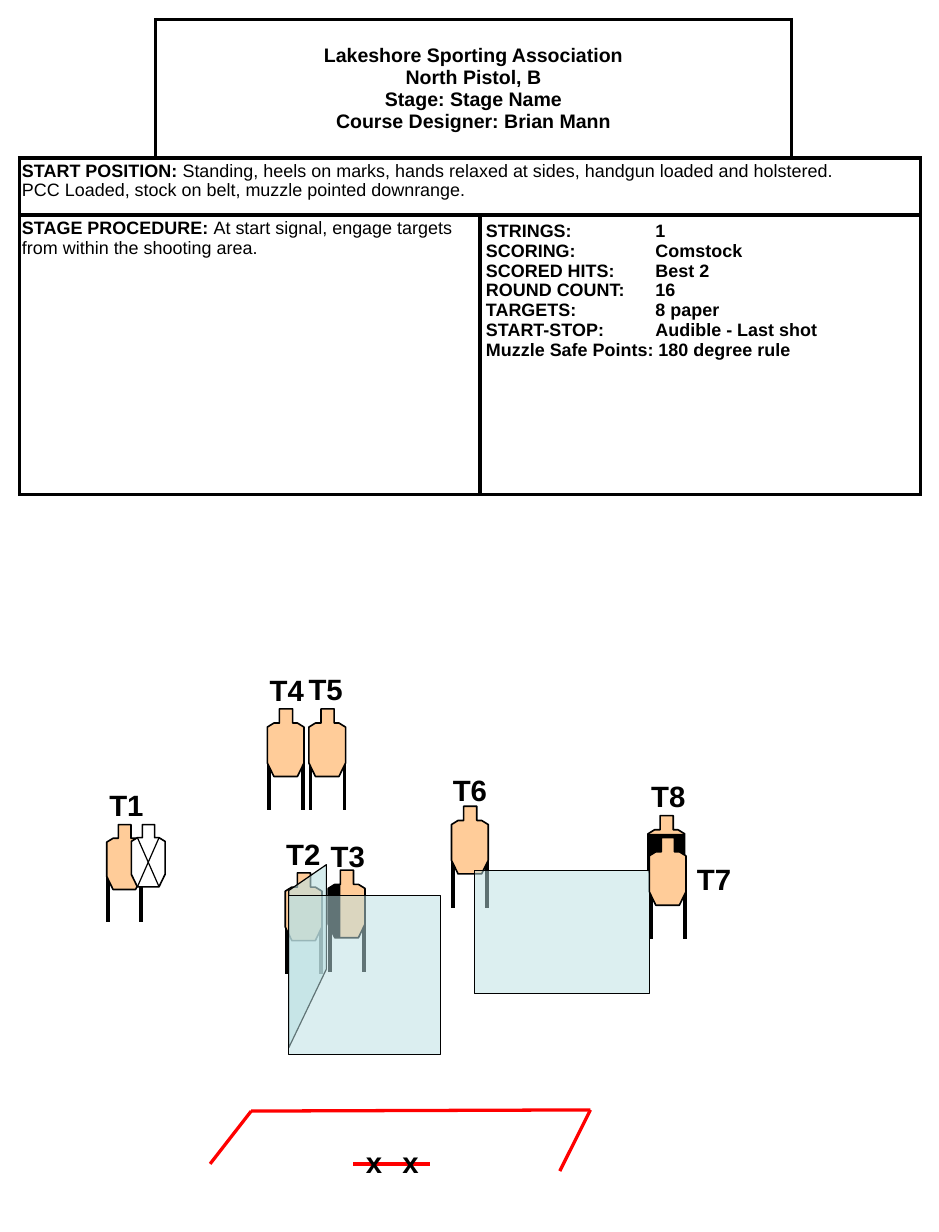
import lxml.etree
import pptx
import pptx.dml.color
import pptx.enum.shapes
import pptx.enum.text
import pptx.oxml
import pptx.oxml.ns
import pptx.util

Pt = pptx.util.Pt
qn = pptx.oxml.ns.qn
BLACK, WHITE, TAN, RED, GLASS = "000000", "FFFFFF", "FFCC99", "FF0000", "BBE0E3"
TARGET_WIDTH, TARGET_HEIGHT = 22.5, 41.5
SILHOUETTE = [(0.33, 0), (0.69, 0), (0.69, 0.21), (0.82, 0.21), (1, 0.27), (1, 0.8),
              (0.82, 1), (0.18, 1), (0, 0.8), (0, 0.27), (0.18, 0.21), (0.33, 0.21)]
LOWER_COVER = SILHOUETTE[4:10]
LEFT_COVER = [(0.33, 0.21), (0.33, 1)] + SILHOUETTE[7:11]


def color(value):
    return pptx.dml.color.RGBColor.from_string(value)


def style_font(font, size, bold):
    font.name = "Arial"
    font.size = Pt(size)
    font.bold = bold
    font.color.rgb = color(BLACK)


def draw_line(shapes, start, end, stroke, width):
    line = shapes.add_connector(pptx.enum.shapes.MSO_CONNECTOR.STRAIGHT,
                                Pt(start[0]), Pt(start[1]), Pt(end[0]), Pt(end[1]))
    line.line.color.rgb = color(stroke)
    line.line.width = Pt(width)
    lxml.etree.SubElement(line._element.spPr, qn("a:effectLst"))


def draw_outline(shapes, points, fill, width, opacity=100):
    corners = [(Pt(x), Pt(y)) for x, y in points]
    builder = shapes.build_freeform(*corners[0])
    builder.add_line_segments(corners[1:], close=True)
    outline = builder.convert_to_shape()
    outline.shadow.inherit = False
    outline.fill.solid()
    outline.fill.fore_color.rgb = color(fill)
    if opacity < 100:
        tint = outline._element.spPr.find(qn("a:solidFill"))[0]
        lxml.etree.SubElement(tint, qn("a:alpha"), val=str(opacity * 1000))
    if width:
        outline.line.color.rgb = color(BLACK)
        outline.line.width = Pt(width)
    else:
        outline.line.fill.background()


def draw_target(slide, left, top, scale=1, fill=TAN, legs=True, cover=None, crossed=False):
    shapes = slide.shapes.add_group_shape().shapes
    width, height = TARGET_WIDTH * scale, TARGET_HEIGHT * scale

    def place(points):
        return [(left + x * width, top + y * height) for x, y in points]

    if legs:
        for side in (0.04, 0.97):
            draw_line(shapes, *place([(side, 0.73), (side, 1.5)]), BLACK, 2.25)
    draw_outline(shapes, place(SILHOUETTE), fill, 1)
    if cover:
        draw_outline(shapes, place(cover), BLACK, 0)
    if crossed:
        for start, end in ((0.82, 0.18), (0.18, 0.82)):
            draw_line(shapes, *place([(start, 0.21), (end, 1)]), BLACK, 0.75)


def draw_label(slide, text, left, top):
    label = slide.shapes.add_textbox(Pt(left), Pt(top), Pt(42), Pt(29))
    frame = label.text_frame
    frame.word_wrap = True
    frame.auto_size = pptx.enum.text.MSO_AUTO_SIZE.SHAPE_TO_FIT_TEXT
    frame.text = text
    style_font(frame.paragraphs[0].runs[0].font, 18, True)


def add_borders(cell, sides):
    properties = cell._tc.get_or_add_tcPr()
    for side in "LRTB":
        border = lxml.etree.SubElement(properties, qn("a:ln" + side))
        if side in sides:
            border.set("w", str(Pt(2.25)))
            fill = lxml.etree.SubElement(border, qn("a:solidFill"))
            lxml.etree.SubElement(fill, qn("a:srgbClr"), val=BLACK)
        else:
            border.set("w", "0")
            lxml.etree.SubElement(border, qn("a:noFill"))


def fill_cell(cell, paragraphs, size, margin_x, margin_y):
    cell.margin_left = cell.margin_right = Pt(margin_x)
    cell.margin_top = cell.margin_bottom = Pt(margin_y)
    frame = cell.text_frame
    for index, runs in enumerate(paragraphs):
        paragraph = frame.add_paragraph() if index else frame.paragraphs[0]
        for text, bold in runs:
            run = paragraph.add_run()
            run.text = text
            style_font(run.font, size, bold)
    return frame.paragraphs


def draw_briefing(slide, left, top, width, height):
    columns = [83.5, 199, 191, width - 473.5]
    rows = [85, 35, height - 120]
    table = slide.shapes.add_table(3, 4, Pt(left), Pt(top), Pt(width), Pt(height)).table
    table.first_row = table.horz_banding = False
    for column, size in zip(table.columns, columns):
        column.width = Pt(size)
    for row, size in zip(table.rows, rows):
        row.height = Pt(size)
    for row in range(3):
        for column in range(4):
            cell = table.cell(row, column)
            add_borders(cell, {(0, 0): "RB", (0, 3): "LB"}.get((row, column), "LRTB"))
            cell.fill.solid()
            cell.fill.fore_color.rgb = color(WHITE)
    for start, end in (((0, 1), (0, 2)), ((1, 0), (1, 3)), ((2, 0), (2, 1)), ((2, 2), (2, 3))):
        table.cell(*start).merge(table.cell(*end))

    title = table.cell(0, 1)
    title.vertical_anchor = pptx.enum.text.MSO_ANCHOR.MIDDLE
    for paragraph in fill_cell(title, [[(line, True)] for line in (
            "Lakeshore Sporting Association", "North Pistol, B",
            "Stage: Stage Name", "Course Designer: Brian Mann")], 12, 3.6, 3.6):
        paragraph.alignment = pptx.enum.text.PP_ALIGN.CENTER

    start_lines = fill_cell(table.cell(1, 0), [
        [("START POSITION: ", True),
         ("Standing, heels on marks, hands relaxed at sides, handgun loaded and holstered.", False)],
        [("PCC Loaded, stock on belt, muzzle pointed downrange.", False)]], 11, 1.5, 2.9)
    for paragraph in start_lines:
        paragraph.line_spacing = 0.9
    start_lines[1].space_before = Pt(1.1)

    fill_cell(table.cell(2, 0), [
        [("STAGE PROCEDURE: ", True),
         ("At start signal, engage targets from within the shooting area.", False)]], 11, 1.5, 2.2)

    facts = [("STRINGS:", "1"), ("SCORING:", "Comstock"), ("SCORED HITS:", "Best 2"),
             ("ROUND COUNT:", "16"), ("TARGETS:", "8 paper"),
             ("START-STOP:", "Audible - Last shot")]
    lines = ["\t".join(fact) for fact in facts] + ["Muzzle Safe Points: 180 degree rule"]
    for paragraph in fill_cell(table.cell(2, 2), [[(line, True)] for line in lines], 11, 3.6, 3.6):
        tabs = lxml.etree.SubElement(paragraph._p.get_or_add_pPr(), qn("a:tabLst"))
        lxml.etree.SubElement(tabs, qn("a:tab"), pos=str(Pt(104)), algn="l")


def draw_course(slide, left, top):
    def at(*points):
        return [(left + x, top + y) for x, y in points]

    def target(x, y, **options):
        draw_target(slide, left + x, top + y, **options)

    shapes = slide.shapes
    target(337.5, 100.5, legs=False, cover=LOWER_COVER)
    target(338.3, 114)
    target(115, 135.7)
    target(141.4, 134, cover=LEFT_COVER)
    target(217, 94.8)

    fault_line = at((68.9, 314.2), (94.1, 281.8), (302.2, 281.1), (283.4, 318.6))
    for start, end in zip(fault_line, fault_line[1:]):
        draw_line(shapes, start, end, RED, 2)
    draw_line(shapes, *at((156.7, 314.2), (203.5, 314.2)), RED, 2)

    draw_outline(shapes, at((140.2, 194.7), (117.1, 243), (117.1, 146.5), (140.2, 130.6)),
                 GLASS, 0.75, 61)
    for x1, y1, x2, y2, opacity in ((117.1, 149.4, 210, 247.3, 52),
                                    (230.9, 134.2, 338.2, 209.8, 50)):
        draw_outline(shapes, at((x1, y1), (x2, y1), (x2, y2), (x1, y2)), GLASS, 0.75, opacity)

    target(129.5, 35)
    target(104, 35)
    target(5.5, 106, scale=0.96)
    target(20.6, 106, scale=0.92, fill=WHITE, legs=False, crossed=True)

    for text, x, y in (("T1", 0, 79.5), ("T2", 108.5, 109.8), ("T3", 135.8, 110.5),
                       ("T4", 98.4, 9), ("T5", 122.2, 8.2), ("T6", 210.7, 70.2),
                       ("T7", 360.5, 124.9), ("T8", 332.4, 73.8),
                       ("x", 157.4, 298.4), ("x", 179.8, 298.4)):
        draw_label(slide, text, left + x, top + y)


def main():
    presentation = pptx.Presentation()
    presentation.slide_width, presentation.slide_height = Pt(576), Pt(756)
    slide = presentation.slides.add_slide(presentation.slide_layouts[6])
    draw_briefing(slide, 12, 12, 552.5, 291.7)
    draw_course(slide, 60, 400)
    presentation.save("out.pptx")


if __name__ == "__main__":
    main()
